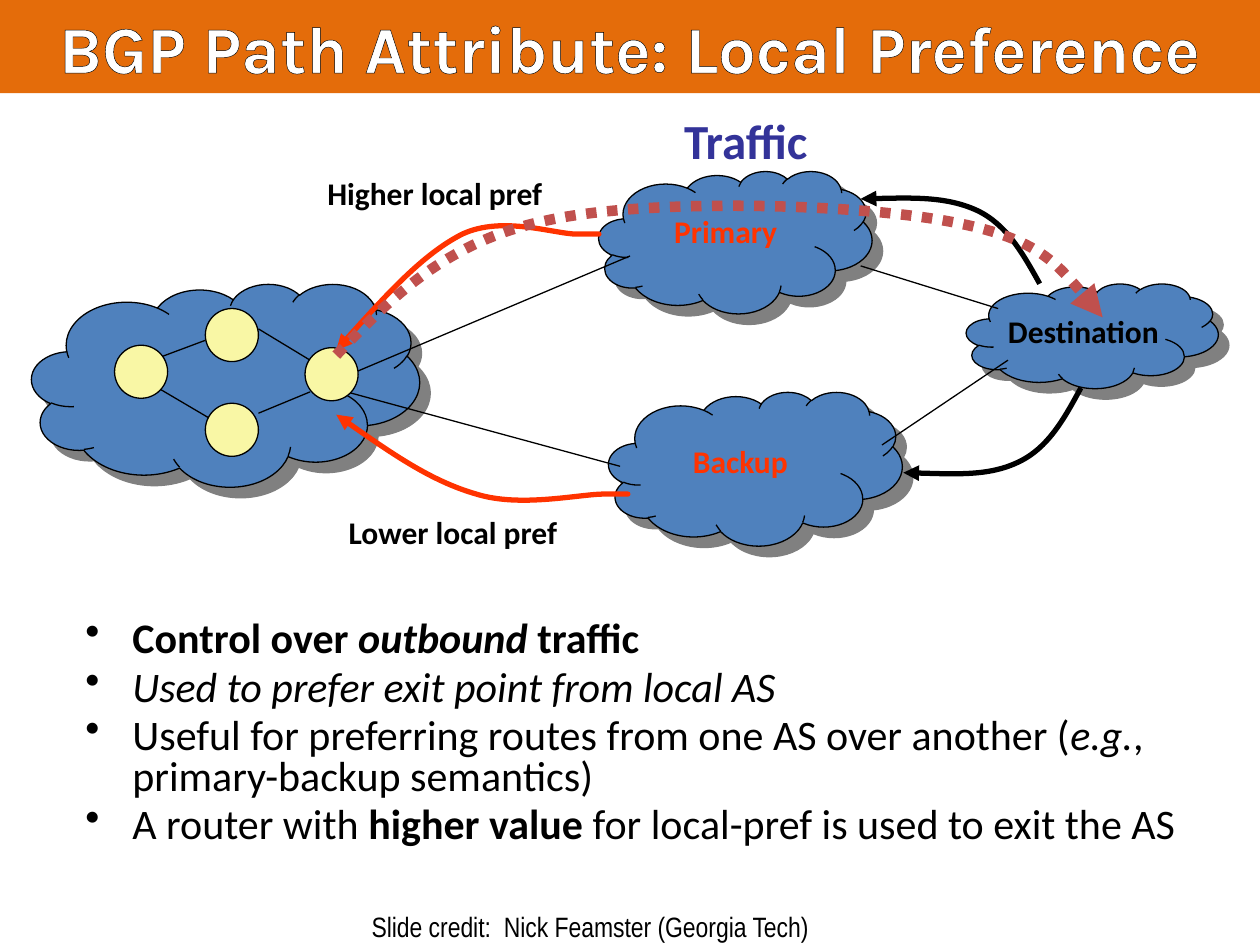
from lxml import etree
from pptx import Presentation
from pptx.dml.color import RGBColor
from pptx.enum.dml import MSO_LINE
from pptx.enum.shapes import MSO_CONNECTOR, MSO_SHAPE
from pptx.enum.text import MSO_ANCHOR, PP_ALIGN
from pptx.oxml.ns import qn
from pptx.util import Cm, Pt

CLOUD = MSO_SHAPE.CLOUD
OVAL = MSO_SHAPE.OVAL
RECTANGLE = MSO_SHAPE.RECTANGLE
STRAIGHT = MSO_CONNECTOR.STRAIGHT
DOTTED = MSO_LINE.ROUND_DOT
CENTER = PP_ALIGN.CENTER
TOP = MSO_ANCHOR.TOP
MIDDLE = MSO_ANCHOR.MIDDLE
BLACK, RED = "000000", "FF3300"


def color(value):
    return RGBColor.from_string(value)


def add_child(parent, tag, **attributes):
    return etree.SubElement(parent, qn(tag), attributes)


deck = Presentation()
deck.slide_width = Cm(25.4)
deck.slide_height = Cm(19.05)
page = deck.slides.add_slide(deck.slide_layouts[6])
shapes = page.shapes

clouds = [
    (0.64, 5.72, 7.82, 4.09),
    (12.07, 3.45, 5.51, 2.87),
    (12.27, 7.9, 5.92, 3.1),
    (19.48, 5.72, 5.08, 2.11),
]
for bounds in clouds:
    cloud = shapes.add_shape(CLOUD, *map(Cm, bounds))
    cloud.fill.solid()
    cloud.fill.fore_color.rgb = color("4F81BD")
    cloud.line.color.rgb = color(BLACK)
    cloud.line.width = Pt(0.75)
    effects = add_child(cloud.element.spPr, "a:effectLst")
    shadow = add_child(effects, "a:outerShdw", dist=str(Pt(8.5)), dir="2700000",
                       algn="ctr", rotWithShape="0")
    add_child(shadow, "a:srgbClr", val="808080")

links = [
    (3.07, 7.26, 4.14, 6.86),
    (5.21, 8.33, 6.25, 7.9),
    (3.15, 7.8, 4.22, 8.43),
    (5.21, 6.63, 6.25, 7.26),
    (7.19, 7.49, 12.7, 5.16),
    (6.99, 7.9, 12.5, 9.4),
    (17.35, 5.36, 20.12, 6.22),
    (17.78, 8.97, 20.32, 7.26),
]
for ends in links:
    link = shapes.add_connector(STRAIGHT, *map(Cm, ends))
    link.line.color.rgb = color(BLACK)
    link.line.width = Pt(0.75)
    add_child(link.element.spPr, "a:effectLst")

for left, top in [(4.14, 6.22), (4.14, 8.13), (6.15, 7.01), (2.31, 6.96)]:
    router = shapes.add_shape(OVAL, Cm(left), Cm(top), Cm(1.07), Cm(1.07))
    router.shadow.inherit = False
    router.fill.solid()
    router.fill.fore_color.rgb = color("F9F7A5")
    router.line.color.rgb = color(BLACK)
    router.line.width = Pt(0.75)

labels = [
    ("Primary", 13.34, 4.14, 2.87, 1.02, 18, RED, False),
    ("Backup", 13.72, 8.79, 2.79, 1.02, 18, RED, False),
    ("Higher local pref", 6.35, 3.38, 6.35, 1.02, 18, BLACK, True),
    ("Lower local pref", 6.78, 10.21, 6.35, 1.02, 18, BLACK, True),
    ("Destination", 20.07, 6.17, 3.96, 1.02, 18, BLACK, False),
    ("Traffic", 13.54, 2.11, 3.61, 1.45, 28, "333399", True),
]
for text, left, top, width, height, size, ink, wrap in labels:
    box = shapes.add_textbox(Cm(left), Cm(top), Cm(width), Cm(height))
    box.text_frame.word_wrap = wrap
    para = box.text_frame.paragraphs[0]
    para.text = text
    para.font.name = "Calibri"
    para.font.size = Pt(size)
    para.font.bold = True
    para.font.color.rgb = color(ink)

routes = [
    (RED, 3, None, [
        (12.07, 4.72), (12.09, 4.72), (12.09, 4.72), (11.63, 4.72), (11.18, 4.72),
        (10.13, 4.34), (9.32, 4.72), (8.51, 5.13), (7.65, 6.1), (6.78, 7.06)]),
    (RED, 3, None, [
        (12.65, 9.96), (12.67, 9.96), (12.7, 9.96), (12.19, 9.96), (11.68, 9.96),
        (10.49, 10.24), (9.6, 9.96), (8.69, 9.7), (7.75, 9.04), (6.78, 8.36)]),
    (BLACK, 3, None, [
        (20.96, 5.72), (20.62, 5.11), (20.29, 4.52), (19.69, 4.24),
        (19.08, 3.96), (18.21, 3.99), (17.35, 4.01)]),
    (BLACK, 3, None, [
        (21.79, 7.82), (21.46, 8.43), (21.13, 9.04), (20.52, 9.32),
        (19.94, 9.6), (19.08, 9.55), (18.21, 9.53)]),
    ("C0504D", 6, DOTTED, [
        (6.78, 7.16), (7.87, 6.02), (8.97, 4.88), (11, 4.45), (13.06, 3.99),
        (17.17, 4.11), (19.05, 4.45), (20.93, 4.78), (21.56, 5.59), (22.23, 6.4)]),
]
for ink, weight, dash, points in routes:
    corners = [(Cm(x), Cm(y)) for x, y in points]
    builder = shapes.build_freeform(*corners[0])
    builder.add_line_segments(corners[1:], close=False)
    route = builder.convert_to_shape()
    route.shadow.inherit = False
    route.fill.background()
    route.line.color.rgb = color(ink)
    route.line.width = Pt(weight)
    if dash:
        route.line.dash_style = dash
    add_child(route.element.spPr.find(qn("a:ln")), "a:tailEnd", type="triangle")
    segments = list(route.element.iter(qn("a:lnTo")))
    outline = segments[0].getparent()
    for start in range(0, len(segments), 3):
        curve = add_child(outline, "a:cubicBezTo")
        for segment in segments[start:start + 3]:
            curve.append(segment[0])
            outline.remove(segment)

bullets = [
    [("Control over ", True, False), ("outbound", True, True), (" traffic", True, False)],
    [("Used to prefer exit point from local AS", False, True)],
    [("Useful for preferring routes from one AS over another (", False, False),
     ("e.g.", False, True), (", primary-backup semantics)", False, False)],
    [("A router with ", False, False), ("higher value ", True, False),
     ("for local-pref is used to exit the AS", False, False)],
]
body = shapes.add_textbox(Cm(1.47), Cm(12.4), Cm(22.86), Cm(4.95)).text_frame
body.word_wrap = True
body.vertical_anchor = TOP
for index, runs in enumerate(bullets):
    para = body.add_paragraph() if index else body.paragraphs[0]
    para.line_spacing = 0.8
    para.space_before = Pt(4.8)
    para.font.name = "Calibri"
    para.font.size = Pt(24)
    para.font.color.rgb = color(BLACK)
    properties = para._p.get_or_add_pPr()
    properties.set("marL", str(Cm(0.95)))
    properties.set("indent", str(Cm(-0.95)))
    bullet = properties.makeelement(qn("a:buChar"), {"char": "•"})
    properties.find(qn("a:defRPr")).addprevious(bullet)
    for text, bold, italic in runs:
        span = para.add_run()
        span.text = text
        span.font.bold = bold
        span.font.italic = italic

credit = shapes.add_textbox(Cm(7.19), Cm(18.21), Cm(9.42), Cm(0.94))
credit.text_frame.word_wrap = False
para = credit.text_frame.paragraphs[0]
para.text = "Slide credit:  Nick Feamster (Georgia Tech)"
para.alignment = CENTER
para.font.name = "Arial Narrow"
para.font.size = Pt(16)
para.font.color.rgb = color(BLACK)

banner = shapes.add_shape(RECTANGLE, 0, 0, deck.slide_width, Cm(1.88))
banner.shadow.inherit = False
banner.fill.solid()
banner.fill.fore_color.rgb = color("E46C0A")
banner.line.fill.background()
banner.text_frame.word_wrap = True
banner.text_frame.vertical_anchor = MIDDLE
para = banner.text_frame.paragraphs[0]
para.alignment = CENTER
span = para.add_run()
span.text = "BGP Path Attribute: Local Preference"
span.font.name = "Karla"
span.font.size = Pt(38)
span.font.bold = True
span.font.color.rgb = color("FFFFFF")
edge = etree.Element(qn("a:ln"), w=str(Pt(0.75)))
add_child(add_child(edge, "a:solidFill"), "a:srgbClr", val=BLACK)
span._r.get_or_add_rPr().insert(0, edge)

deck.save("out.pptx")
